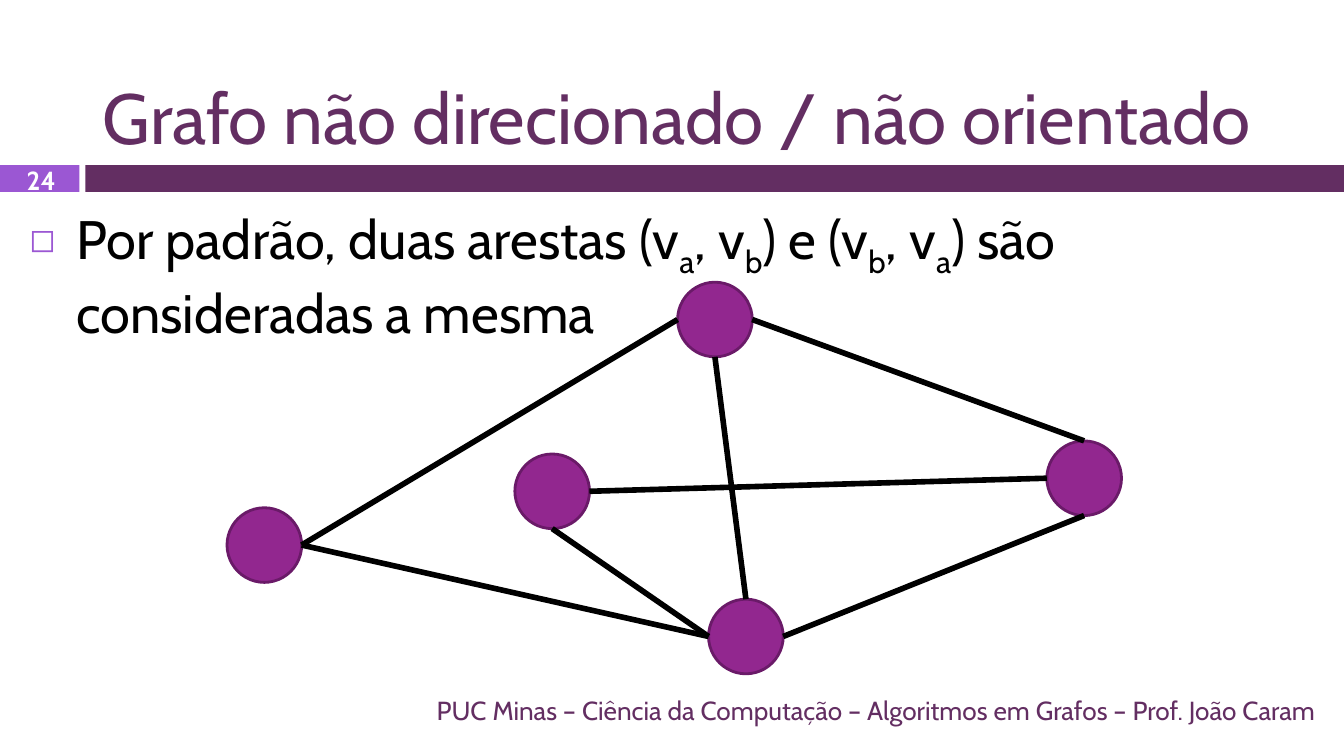
"""Builds the slide on undirected graphs, with a five-vertex example."""

from lxml.etree import SubElement
from pptx import Presentation
from pptx.dml.color import RGBColor
from pptx.enum.shapes import MSO_CONNECTOR as Connector
from pptx.enum.shapes import MSO_SHAPE as Shape
from pptx.enum.text import MSO_ANCHOR as Anchor
from pptx.enum.text import PP_ALIGN as Align
from pptx.oxml.ns import qn
from pptx.util import Pt

FONT = "Cabin"
COLORS = {
    "plum": "632E62",
    "lilac": "9B57D3",
    "vertex": "92278F",
    "outline": "6A1A68",
    "edge": "000000",
    "body": "000000",
    "white": "FFFFFF",
}
DIAMETER = 40
VERTICES = {
    "top": (363, 151.2),
    "center": (275.8, 243.2),
    "bottom": (379.6, 321),
    "left": (121.6, 272),
    "right": (560.8, 236.2),
}
SIDES = {"north": (0.5, 0), "south": (0.5, 1), "west": (0, 0.5), "east": (1, 0.5)}
EDGES = [
    ("top", "east", "right", "north"),
    ("center", "east", "right", "west"),
    ("bottom", "east", "right", "south"),
    ("top", "south", "bottom", "north"),
    ("left", "east", "bottom", "west"),
    ("top", "west", "left", "east"),
    ("center", "south", "bottom", "west"),
]
STATEMENT = [
    ("Por padrão, duas arestas (v", False), ("a", True),
    (", v", False), ("b", True),
    (") e (v", False), ("b", True),
    (", v", False), ("a", True),
    (") são consideradas a mesma", False),
]


def rgb(name):
    return RGBColor.from_string(COLORS[name])


def add_filled(slide, kind, box, fill, outline=None):
    shape = slide.shapes.add_shape(kind, *map(Pt, box))
    shape.shadow.inherit = False
    shape.fill.solid()
    shape.fill.fore_color.rgb = rgb(fill)
    if outline:
        shape.line.color.rgb = rgb(outline)
        shape.line.width = Pt(1.5)
    else:
        shape.line.fill.background()


def add_run(paragraph, text, size, color, bold=False, subscript=False):
    run = paragraph.add_run()
    run.text = text
    run.font.name = FONT
    run.font.size = Pt(size)
    run.font.bold = bold
    run.font.color.rgb = rgb(color)
    if subscript:
        run.font._element.set("baseline", "-25000")


def add_text_box(slide, box, anchor, align=Align.LEFT):
    frame = slide.shapes.add_textbox(*map(Pt, box)).text_frame
    frame.word_wrap = True
    frame.vertical_anchor = anchor
    paragraph = frame.paragraphs[0]
    paragraph.alignment = align
    return paragraph


def add_bullet(paragraph, indent):
    properties = paragraph._p.get_or_add_pPr()
    properties.set("marL", str(Pt(indent)))
    properties.set("indent", str(-Pt(indent)))
    color = SubElement(properties, qn("a:buClr"))
    SubElement(color, qn("a:srgbClr"), val=COLORS["lilac"])
    SubElement(properties, qn("a:buSzPct"), val="60000")
    SubElement(properties, qn("a:buChar"), char="◻")


def side_point(vertex, side):
    return [Pt(start + DIAMETER * share)
            for start, share in zip(VERTICES[vertex], SIDES[side])]


def add_edge(slide, start, start_side, end, end_side):
    edge = slide.shapes.add_connector(
        Connector.STRAIGHT, *side_point(start, start_side), *side_point(end, end_side))
    edge.line.color.rgb = rgb("edge")
    edge.line.width = Pt(3)
    SubElement(edge._element.spPr, qn("a:effectLst"))


def main():
    presentation = Presentation()
    presentation.slide_width, presentation.slide_height = Pt(720), Pt(405)
    slide = presentation.slides.add_slide(presentation.slide_layouts[6])

    add_filled(slide, Shape.RECTANGLE, (45.8, 88.5, 674.2, 14.4), "plum")
    add_filled(slide, Shape.RECTANGLE, (0, 88.5, 42.6, 14.4), "lilac")

    title = add_text_box(slide, (48, 9.4, 664, 79.2), Anchor.BOTTOM)
    add_run(title, "Grafo não direcionado / não orientado", 38, "plum")

    statement = add_text_box(slide, (8.6, 106.6, 664, 257.8), Anchor.TOP)
    add_bullet(statement, 25.2)
    for text, subscript in STATEMENT:
        add_run(statement, text, 29, "body", subscript=subscript)

    number = add_text_box(slide, (1.2, 89.3, 41.8, 14.4), Anchor.MIDDLE, Align.CENTER)
    add_run(number, "24", 14, "white", bold=True)

    footer = add_text_box(slide, (48, 369.4, 664, 21.6), Anchor.MIDDLE, Align.RIGHT)
    add_run(footer, "PUC Minas – Ciência da Computação – Algoritmos em Grafos – "
            "Prof. João Caram", 14, "plum")

    for position in VERTICES.values():
        add_filled(slide, Shape.OVAL, (*position, DIAMETER, DIAMETER), "vertex", "outline")
    for edge in EDGES:
        add_edge(slide, *edge)

    presentation.save("out.pptx")


if __name__ == "__main__":
    main()
